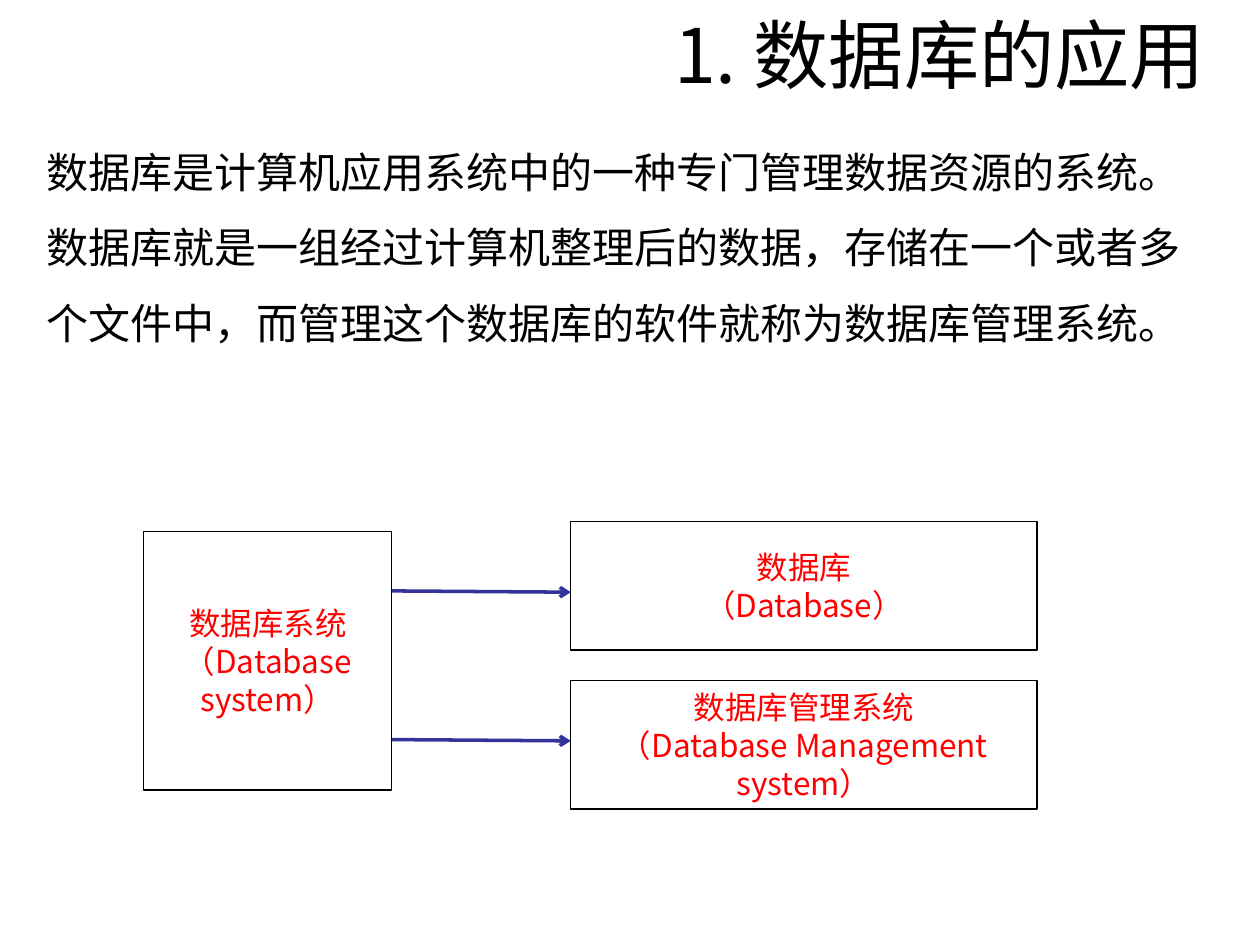
from dataclasses import dataclass

from lxml import etree
from pptx import Presentation
from pptx.dml.color import RGBColor
from pptx.enum.shapes import MSO_CONNECTOR, MSO_SHAPE
from pptx.enum.text import MSO_ANCHOR, PP_ALIGN
from pptx.oxml.ns import qn
from pptx.util import Inches, Pt

RECTANGLE = MSO_SHAPE.RECTANGLE
STRAIGHT = MSO_CONNECTOR.STRAIGHT
MIDDLE, TOP = MSO_ANCHOR.MIDDLE, MSO_ANCHOR.TOP
LEFT, CENTER, RIGHT = PP_ALIGN.LEFT, PP_ALIGN.CENTER, PP_ALIGN.RIGHT


@dataclass(frozen=True)
class Theme:
    """Colours, fonts and type sizes of the slide."""
    text: RGBColor = RGBColor(0, 0, 0)
    label: RGBColor = RGBColor(0xFF, 0, 0)
    box: RGBColor = RGBColor(0xFF, 0xFF, 0xFF)
    arrow: RGBColor = RGBColor(0x33, 0x33, 0x99)
    chinese_font: str = "Noto Sans CJK SC"
    body_font: str = "Arial"
    title_size: int = 43
    body_size: int = 24
    label_size: int = 18


THEME = Theme()


def write_text(shape, lines, size, color, font_name, alignment, anchor):
    """Fill a shape with one paragraph per line and return the paragraphs."""
    frame = shape.text_frame
    frame.word_wrap = True
    frame.vertical_anchor = anchor
    frame.text = "\n".join(lines)
    for paragraph in frame.paragraphs:
        paragraph.alignment = alignment
        font = paragraph.font
        font.size, font.name = Pt(size), font_name
        font.color.rgb = color
        properties = paragraph._p.pPr.find(qn("a:defRPr"))
        etree.SubElement(properties, qn("a:ea"), typeface=THEME.chinese_font)
    return frame.paragraphs


def add_title(slide, text):
    """Add the right-aligned title."""
    shape = slide.shapes.add_textbox(Inches(2.78), Inches(0.08), Inches(6.88), Inches(0.69))
    write_text(shape, [text], THEME.title_size, THEME.text, THEME.chinese_font, RIGHT, MIDDLE)


def add_body(slide, text):
    """Add the widely spaced body paragraph."""
    shape = slide.shapes.add_textbox(Inches(0.27), Inches(0.91), Inches(9.3), Inches(5.5))
    paragraphs = write_text(shape, [text], THEME.body_size, THEME.text, THEME.body_font, LEFT, TOP)
    for paragraph in paragraphs:
        paragraph.line_spacing = 1.5
        paragraph.space_before = Pt(6)


def add_box(slide, left, top, width, height, lines):
    """Add an outlined box with a centred label."""
    shape = slide.shapes.add_shape(
        RECTANGLE, Inches(left), Inches(top), Inches(width), Inches(height))
    shape.shadow.inherit = False
    shape.fill.solid()
    shape.fill.fore_color.rgb = THEME.box
    shape.line.color.rgb = THEME.text
    shape.line.width = Pt(0.75)
    write_text(shape, lines, THEME.label_size, THEME.label, THEME.chinese_font, CENTER, MIDDLE)


def add_arrow(slide, start_x, end_x, start_y, end_y):
    """Add an arrow with an open head at its end."""
    arrow = slide.shapes.add_connector(
        STRAIGHT, Inches(start_x), Inches(start_y), Inches(end_x), Inches(end_y))
    arrow.line.color.rgb = THEME.arrow
    arrow.line.width = Pt(2)
    etree.SubElement(arrow.line._get_or_add_ln(), qn("a:tailEnd"), type="arrow")
    etree.SubElement(arrow._element.spPr, qn("a:effectLst"))


def main():
    """Build and save the slide."""
    presentation = Presentation()
    presentation.slide_width, presentation.slide_height = Inches(10), Inches(7.5)
    slide = presentation.slides.add_slide(presentation.slide_layouts[6])

    add_title(slide, "1. 数据库的应用")
    add_body(slide, "数据库是计算机应用系统中的一种专门管理数据资源的系统。"
                    "数据库就是一组经过计算机整理后的数据，存储在一个或者多个文件中，"
                    "而管理这个数据库的软件就称为数据库管理系统。")

    system_left, system_width, part_left = 1.14, 1.97, 4.53
    add_box(slide, system_left, 4.22, system_width, 2.05, ["数据库系统", "（Database system）"])
    parts = [
        (4.14, 4.69, ["数据库", "（Database）"]),
        (5.4, 5.87, ["数据库管理系统", "（Database Management system）"]),
    ]
    for top, arrow_y, lines in parts:
        add_arrow(slide, system_left + system_width, part_left, arrow_y, arrow_y + 0.01)
        add_box(slide, part_left, top, 3.7, 1.02, lines)

    presentation.save("out.pptx")


if __name__ == "__main__":
    main()
